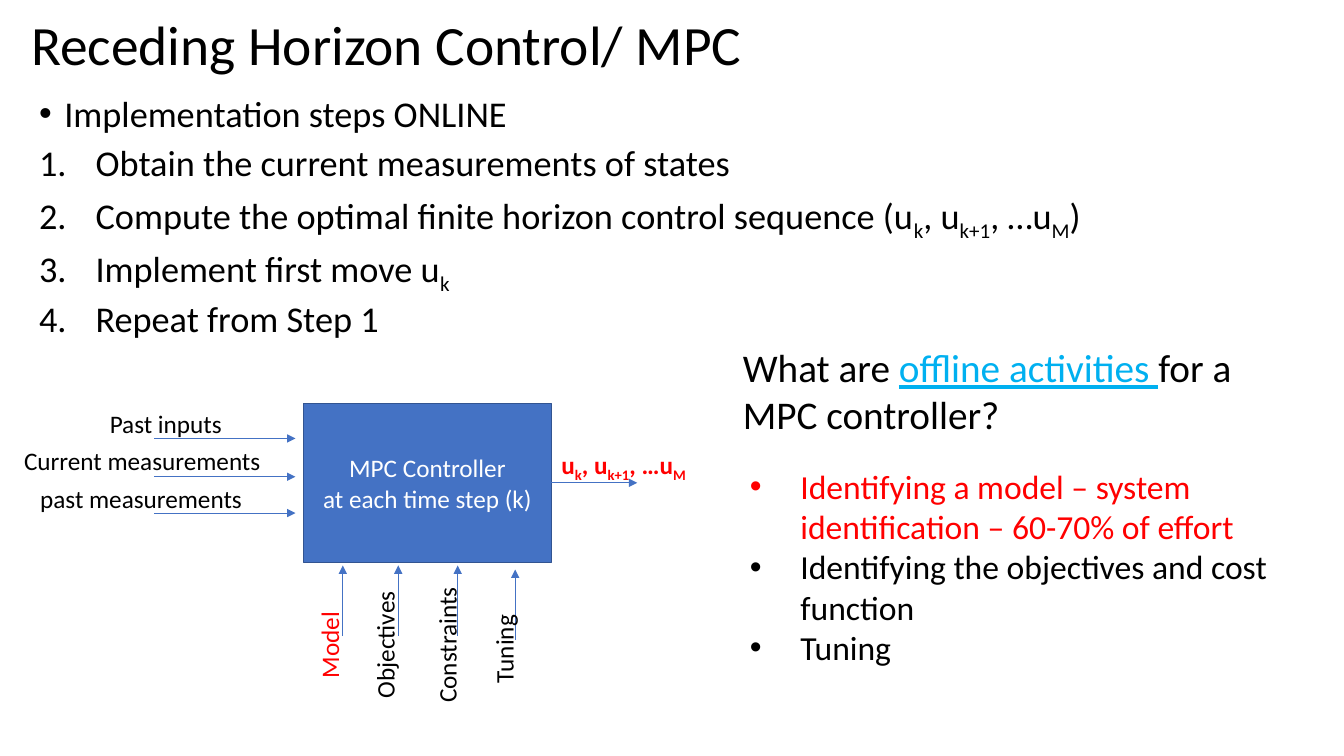
from lxml import etree
from pptx import Presentation
from pptx.dml.color import RGBColor
from pptx.enum.shapes import MSO_CONNECTOR, MSO_SHAPE
from pptx.enum.text import MSO_ANCHOR, PP_ALIGN
from pptx.oxml.ns import qn
from pptx.util import Inches, Pt

BLACK, WHITE, RED, BLUE, EDGE, SKY = "000000", "FFFFFF", "FF0000", "4472C4", "325491", "00B0F0"
CONTROL_SEQUENCE = "u|k|, u|k+1|, …u|M|"


def color(hex_value):
    return RGBColor.from_string(hex_value)


class SlideBuilder:
    font = "Calibri"

    def __init__(self, slide):
        self.slide = slide

    def paragraph(self, frame, text, size, ink=BLACK, bold=False, link=False,
                  indent=0, bullet=None, spacing=None, before=0, align=PP_ALIGN.LEFT):
        first = frame.paragraphs[0]
        paragraph = frame.add_paragraph() if first.runs else first
        paragraph.alignment = align
        paragraph.space_before = Pt(before)
        if spacing:
            paragraph.line_spacing = spacing
        if bullet:
            self.bullet(paragraph, bullet, indent)
        for index, part in enumerate(text.split("|")):
            if not part:
                continue
            marked = index % 2 == 1
            run = paragraph.add_run()
            run.text = part
            run.font.name = self.font
            run.font.size = Pt(size)
            run.font.bold = bold
            run.font.color.rgb = color(SKY if marked and link else ink)
            if marked and link:
                run.font.underline = True
            elif marked:
                run.font._element.set("baseline", "-25000")

    def bullet(self, paragraph, kind, indent):
        properties = paragraph._p.get_or_add_pPr()
        properties.set("marL", str(Inches(indent)))
        properties.set("indent", str(-Inches(indent)))
        if kind == "number":
            etree.SubElement(properties, qn("a:buFont"), typeface="+mj-lt")
            etree.SubElement(properties, qn("a:buAutoNum"), type="arabicPeriod")
        else:
            etree.SubElement(properties, qn("a:buFont"), typeface="Arial")
            etree.SubElement(properties, qn("a:buChar"), char=kind)

    def text(self, box, paragraphs, wrap=True, rotation=0, anchor=MSO_ANCHOR.TOP, **style):
        shape = self.slide.shapes.add_textbox(*map(Inches, box))
        shape.rotation = rotation
        frame = shape.text_frame
        frame.word_wrap = wrap
        frame.vertical_anchor = anchor
        for text, changes in paragraphs:
            self.paragraph(frame, text, **{**style, **changes})

    def block(self, box, lines, size):
        shape = self.slide.shapes.add_shape(MSO_SHAPE.RECTANGLE, *map(Inches, box))
        shape.shadow.inherit = False
        shape.fill.solid()
        shape.fill.fore_color.rgb = color(BLUE)
        shape.line.color.rgb = color(EDGE)
        shape.line.width = Pt(1)
        shape.text_frame.word_wrap = True
        shape.text_frame.vertical_anchor = MSO_ANCHOR.MIDDLE
        for line in lines:
            self.paragraph(shape.text_frame, line, size, WHITE, align=PP_ALIGN.CENTER)

    def arrow(self, x1, y1, x2, y2):
        connector = self.slide.shapes.add_connector(
            MSO_CONNECTOR.STRAIGHT, *map(Inches, (x1, y1, x2, y2)))
        connector.line.color.rgb = color(BLUE)
        connector.line.width = Pt(0.5)
        etree.SubElement(connector.line._get_or_add_ln(), qn("a:tailEnd"), type="triangle")
        etree.SubElement(connector._element.spPr, qn("a:effectLst"))


deck = Presentation()
deck.slide_width, deck.slide_height = Inches(13.33), Inches(7.5)
builder = SlideBuilder(deck.slides.add_slide(deck.slide_layouts[6]))

builder.text((0.21, 0.19, 9.25, 0.56), [("Receding Horizon Control/ MPC", {})],
             size=39.6, spacing=0.9, anchor=MSO_ANCHOR.MIDDLE)

steps = [
    "Obtain the current measurements of states",
    f"Compute the optimal finite horizon control sequence ({CONTROL_SEQUENCE})",
    "Implement first move u|k|",
    "Repeat from Step 1",
]
builder.text((0.29, 0.94, 12.06, 2.41),
             [("Implementation steps ONLINE", {"bullet": "•", "indent": 0.25})]
             + [(step, {}) for step in steps],
             size=25.9, bullet="number", indent=0.56, spacing=0.8, before=10)

builder.text((7.27, 3.36, 5.86, 1.04),
             [("What are |offline activities |for a MPC controller?", {})], size=28, link=True)

builder.block((3.01, 4, 2.46, 1.58), ["MPC Controller", "at each time step (k)"], 18)

inputs = [
    ("Past inputs", 0.99, 4, 1.32, 4.35),
    ("Current measurements", 0.14, 4.37, 2.61, 4.73),
    ("past measurements", 0.3, 4.75, 2.46, 5.09),
]
for label, left, top, width, arrow_y in inputs:
    builder.arrow(1.53, arrow_y, 2.93, arrow_y)
    builder.text((left, top, width, 0.4), [(label, {})], size=18)

settings = [
    ("Model", 2.83, 6.19, 0.87, 3.4, 5.61, RED),
    ("Objectives", 3.18, 6.19, 1.27, 3.95, 5.61, BLACK),
    ("Constraints", 3.75, 6.19, 1.36, 4.54, 5.61, BLACK),
    ("Tuning", 4.55, 6.23, 0.89, 5.11, 5.65, BLACK),
]
for label, left, top, width, arrow_x, tip_y, ink in settings:
    builder.arrow(arrow_x, tip_y + 0.7, arrow_x, tip_y)
    builder.text((left, top, width, 0.4), [(label, {})], wrap=False, rotation=270,
                 size=18, ink=ink)

activities = [
    ("Identifying a model – system identification – 60-70% of effort", {"ink": RED}),
    ("Identifying the objectives and cost function", {}),
    ("Tuning", {}),
]
builder.text((7.34, 4.57, 5.54, 2.12), activities, size=24, bullet="•", indent=0.5)

builder.arrow(5.47, 4.79, 6.32, 4.79)
builder.text((5.47, 4.41, 1.8, 0.4), [(CONTROL_SEQUENCE, {})], size=18, ink=RED, bold=True)

deck.save("out.pptx")
